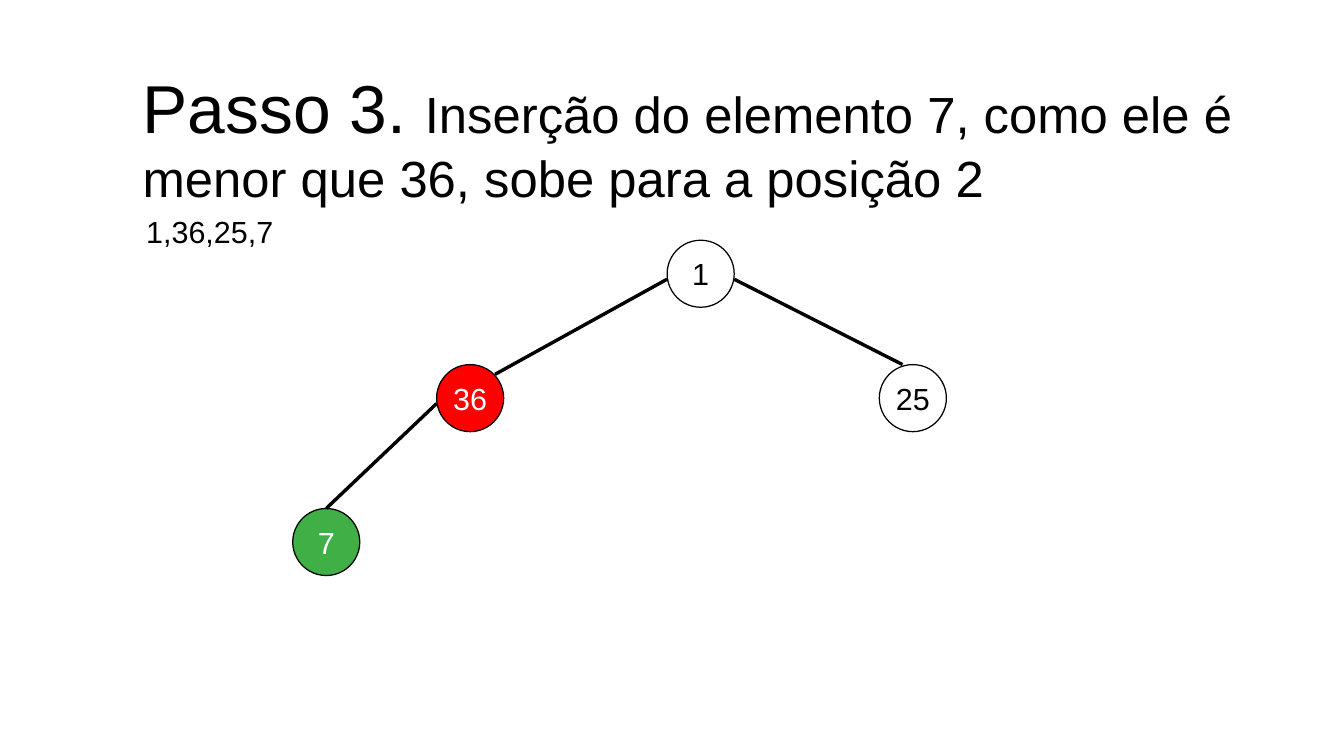
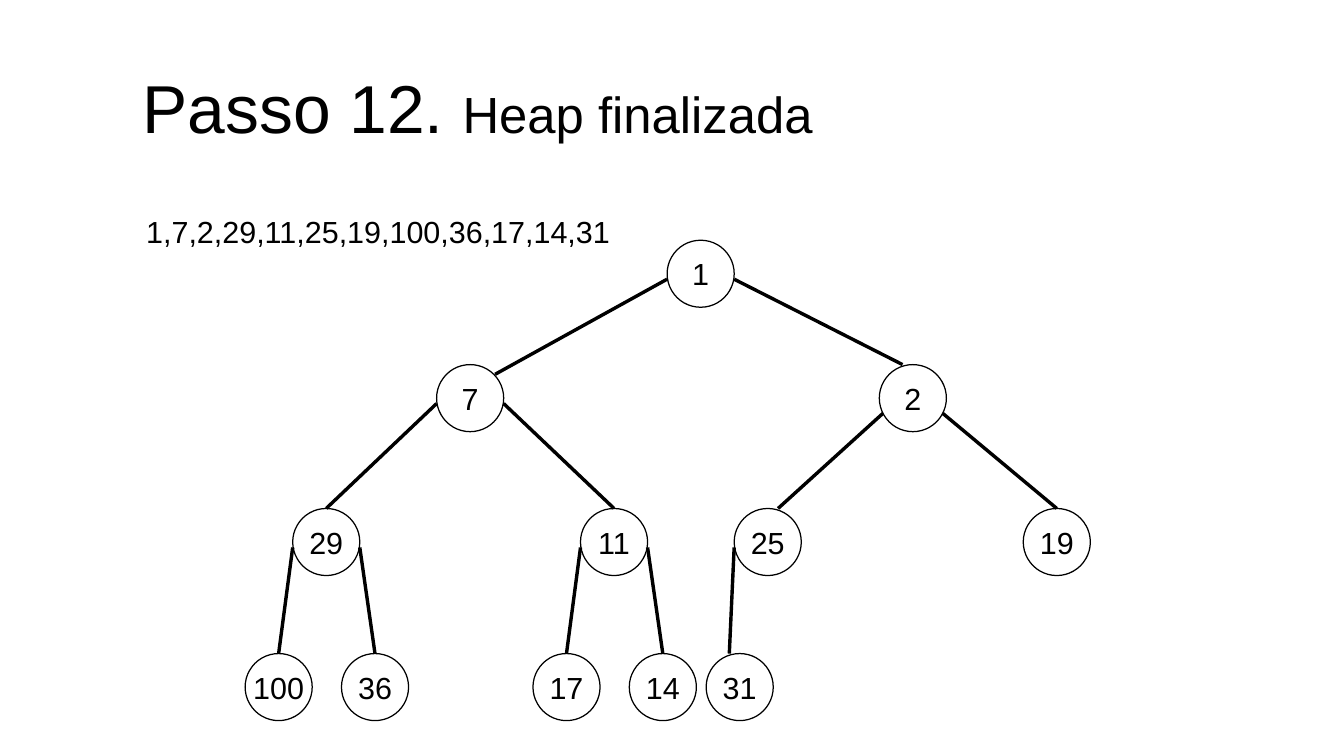
from lxml.etree import SubElement
from pptx import Presentation
from pptx.dml.color import RGBColor
from pptx.enum.shapes import MSO_CONNECTOR, MSO_SHAPE
from pptx.enum.text import MSO_ANCHOR, MSO_AUTO_SIZE, PP_ALIGN
from pptx.oxml.ns import qn
from pptx.util import Inches, Pt

SLIDE_W, SLIDE_H = 11.02, 6.2
FONT = "Arial"
BLACK, WHITE, RED, GREEN = "000000", "FFFFFF", "FF0000", "3FAF46"

NODE = 0.55
ROW_TOPS = [1.97, 2.99, 4.17, 5.36]
NODE_LEFTS = [5.47, 3.58, 7.21, 2.4, 4.76, 6.02, 8.39,
              2.01, 2.8, 4.37, 5.16, 5.79]
EDGE_START = (0, 0.32)
EDGE_STARTS = {3: (0.03, 0.4)}
EDGE_END = (NODE / 2, 0)
EDGE_ENDS = {2: (0.48, 0.08), 3: (0.19, 0), 6: (0.36, 0), 12: (0.19, 0)}

STEPS = [
    dict(step="Passo 3. ",
         text="Inserção do elemento 7, como ele é menor que 36, sobe para a posição 2",
         heap=[1, 36, 25, 7], marked={2: RED, 4: GREEN},
         title_h=1.18, list_w=3.62),
    dict(step="Passo 12. ", text="Heap finalizada",
         heap=[1, 7, 2, 29, 11, 25, 19, 100, 36, 17, 14, 31], marked={},
         title_h=0.72, list_w=4.41),
]


def rgb(color):
    return RGBColor.from_string(color)


def add_text(p, text, size=18, color=BLACK, align=PP_ALIGN.LEFT):
    p.alignment = align
    r = p.add_run()
    r.text = text
    r.font.name = FONT
    r.font.size = Pt(size)
    r.font.color.rgb = rgb(color)


def node_at(position):
    return NODE_LEFTS[position - 1], ROW_TOPS[position.bit_length() - 1]


def add_title(s, step, text, height):
    sp = s.shapes.title
    sp.left, sp.top, sp.width, sp.height = map(Inches, (1.07, 0.49, 9.4, height))
    tf = sp.text_frame
    tf.word_wrap = True
    tf.auto_size = MSO_AUTO_SIZE.NONE
    tf.vertical_anchor = MSO_ANCHOR.TOP
    add_text(tf.paragraphs[0], step, size=40)
    add_text(tf.paragraphs[0], text, size=30)


def add_sequence(s, heap, width):
    tf = s.shapes.add_textbox(*map(Inches, (1.1, 1.7, width, 0.66))).text_frame
    tf.word_wrap = True
    add_text(tf.paragraphs[0], ",".join(map(str, heap)))


def add_node(s, position, value, fill):
    left, top = node_at(position)
    sp = s.shapes.add_shape(MSO_SHAPE.OVAL, *map(Inches, (left, top, NODE, NODE)))
    sp.shadow.inherit = False
    sp.fill.solid()
    sp.fill.fore_color.rgb = rgb(fill)
    sp.line.color.rgb = rgb(BLACK)
    sp.line.width = Pt(0)
    tf = sp.text_frame
    tf.word_wrap = False
    tf.vertical_anchor = MSO_ANCHOR.MIDDLE
    add_text(tf.paragraphs[0], str(value), align=PP_ALIGN.CENTER,
             color=BLACK if fill == WHITE else WHITE)


def add_edge(s, child):
    parent = child // 2
    px, py = node_at(parent)
    cx, cy = node_at(child)
    inset, drop = EDGE_STARTS.get(parent, EDGE_START)
    dx, dy = EDGE_ENDS.get(child, EDGE_END)
    start_x = px + (NODE - inset if child % 2 else inset)
    line = s.shapes.add_connector(
        MSO_CONNECTOR.STRAIGHT,
        *map(Inches, (start_x, py + drop, cx + dx, cy + dy)))
    line.line.color.rgb = rgb(BLACK)
    line.line.width = Pt(0)
    SubElement(line.element.spPr, qn("a:effectLst"))


def add_step(prs, step, text, heap, marked, title_h, list_w):
    s = prs.slides.add_slide(prs.slide_layouts[5])
    add_title(s, step, text, title_h)
    add_sequence(s, heap, list_w)
    for position, value in enumerate(heap, 1):
        add_node(s, position, value, marked.get(position, WHITE))
        if position > 1:
            add_edge(s, position)


def main():
    prs = Presentation()
    prs.slide_width, prs.slide_height = Inches(SLIDE_W), Inches(SLIDE_H)
    for step in STEPS:
        add_step(prs, **step)
    prs.save("out.pptx")


if __name__ == "__main__":
    main()
